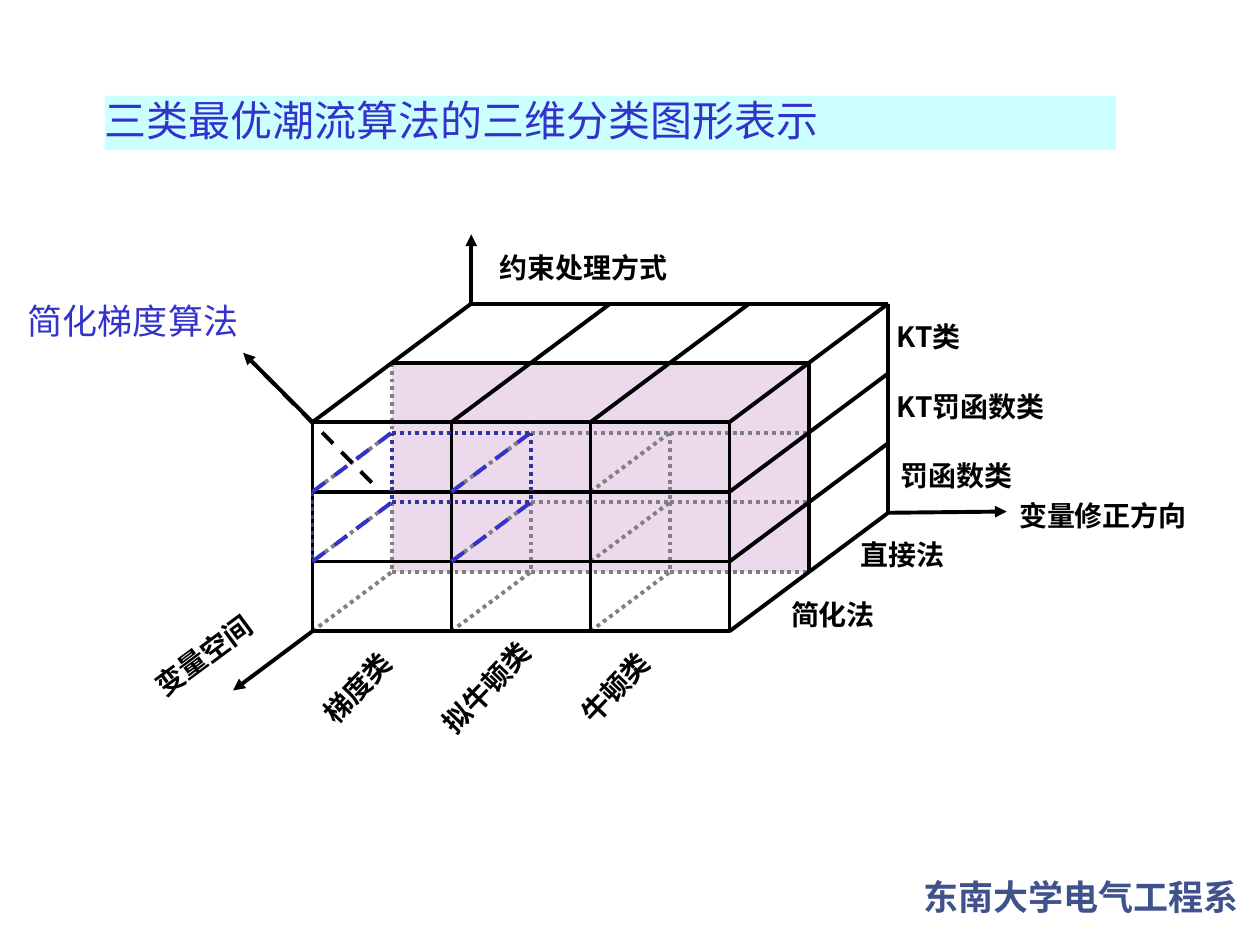
import itertools

import lxml.etree
import pptx
import pptx.dml.color
import pptx.enum.dml
import pptx.enum.shapes
import pptx.enum.text
import pptx.oxml.ns
import pptx.util

Inches, Pt = pptx.util.Inches, pptx.util.Pt
rgb = pptx.dml.color.RGBColor.from_string
qn = pptx.oxml.ns.qn
ALIGN = pptx.enum.text.PP_ALIGN
DASH = pptx.enum.dml.MSO_LINE.DASH
DOT = pptx.enum.dml.MSO_LINE.ROUND_DOT
RECT = pptx.enum.shapes.MSO_SHAPE.RECTANGLE
SANS = "Noto Sans CJK SC"
BLACK, GRAY, BLUE, NAVY = "000000", "808080", "3333CC", "333399"

prs = pptx.Presentation()
prs.slide_width, prs.slide_height = Inches(10), Inches(7.5)
s = prs.slides.add_slide(prs.slide_layouts[5])


def write(tf, text, size=16, color=BLACK, font=SANS, bold=True, before=4,
          align=ALIGN.LEFT, wrap=True):
    tf.word_wrap = wrap
    p = tf.paragraphs[0]
    p.alignment = align
    p.space_before = Pt(before)
    r = p.add_run()
    r.text = text
    r.font.size, r.font.bold, r.font.name = Pt(size), bold, font
    r.font.color.rgb = rgb(color)
    lxml.etree.SubElement(r.font._element, qn("a:ea"), typeface=SANS)


def add_line(start, end, color=BLACK, dash=None, arrow=False):
    c = s.shapes.add_connector(pptx.enum.shapes.MSO_CONNECTOR.STRAIGHT,
                               *[Inches(v) for v in (*start, *end)])
    c.line.color.rgb = rgb(color)
    c.line.width = Pt(2.25)
    if dash:
        c.line.dash_style = dash
    if arrow:
        lxml.etree.SubElement(c.line._get_or_add_ln(), qn("a:tailEnd"), type="triangle")
    lxml.etree.SubElement(c._element.spPr, qn("a:effectLst"))


# Lattice corners: column i, row j (downwards), depth k (backwards)
dx, dy = 3.31 / 3, 1.66 / 3
corner = {(i, j, k): (2.48 + i * dx + k * 0.63, 3.35 + j * dy - k * 0.47)
          for i, j, k in itertools.product(range(4), range(4), range(3))}

# Title band and the translucent panes of the middle plane
rects = [(0.83, 0.76, 8.03, 0.43, "CCFFFF", None)]
rects += [(*corner[i, j, 1], dx, dy, "800080", 15)
          for j, i in itertools.product(range(3), range(3))]
for x, y, w, h, color, alpha in rects:
    sp = s.shapes.add_shape(RECT, Inches(x), Inches(y), Inches(w), Inches(h))
    sp.shadow.inherit = False
    sp.fill.solid()
    sp.fill.fore_color.rgb = rgb(color)
    sp.line.fill.background()
    if alpha:
        clr = sp._element.spPr.find(".//" + qn("a:srgbClr"))
        lxml.etree.SubElement(clr, qn("a:alpha"), val=str(alpha * 1000))

# Title, moved to the front of its band
title = s.shapes.title
title.left, title.top = Inches(0.73), Inches(0.68)
title.width, title.height = Inches(8.52), Inches(0.52)
s.shapes._spTree.append(title._element)
tf = title.text_frame
tf.auto_size = pptx.enum.text.MSO_AUTO_SIZE.NONE
tf.vertical_anchor = pptx.enum.text.MSO_ANCHOR.BOTTOM
write(tf, "三类最优潮流算法的三维分类图形表示", size=24, color=BLUE, bold=False, before=0)

# Lattice edges: hidden ones dotted gray, visible ones solid black
hidden, visible = [], []
for (i, j, k), start in corner.items():
    across, down, back = (i + 1, j, k), (i, j + 1, k), (i, j, k + 1)
    if across in corner and (k < 2 or j == 0):
        (hidden if k == 1 and j > 0 else visible).append((start, corner[across]))
    if down in corner and (k == 0 or i == 3 or k == 1 and (i == 0 or j > 0)):
        (hidden if k == 1 and i < 3 else visible).append((start, corner[down]))
    if back in corner and (k == 0 or j == 0 or i == 3):
        (hidden if j > 0 and i < 3 else visible).append((start, corner[back]))
for start, end in hidden:
    add_line(start, end, GRAY, DOT)
for start, end in visible:
    add_line(start, end)

# Highlighted cell of the reduced gradient method
for i, j in itertools.product((0, 1), (1, 2)):
    add_line(corner[i, j, 0], corner[i, j, 1], BLUE, DASH)
for j in (1, 2):
    add_line(corner[0, j, 1], corner[1, j, 1], NAVY, DOT)
for i, k in ((0, 0), (0, 1), (1, 1)):
    add_line(corner[i, 1, k], corner[i, 2, k], NAVY, DOT)

# Axes, and the pointer that leaves the highlighted cell
add_line(corner[3, 3, 2], (7.99, 4.06), arrow=True)
add_line(corner[0, 0, 2], (3.74, 1.86), arrow=True)
add_line(corner[0, 3, 0], (1.85, 5.48), arrow=True)
add_line((2.95, 3.83), (1.93, 2.8), dash=DASH, arrow=True)
add_line((2.01, 2.88), corner[0, 0, 0])

# Labels: left, top, width, rotation, text, format
callout = dict(size=20, color=BLUE, font="Times New Roman", bold=False, before=5, wrap=False)
footer = dict(size=20, color="40528C", font="Lato", before=12.5, align=ALIGN.CENTER)
labels = [
    (3.82, 1.94, 1.97, 0, " 约束处理方式", {}),
    (6.97, 2.49, 1.1, 0, " KT类", {}),
    (6.97, 3.04, 1.73, 0, " KT罚函数类", {}),
    (7.05, 3.59, 1.73, 0, "罚函数类", {}),
    (6.73, 4.22, 0.94, 0, "直接法", {}),
    (6.18, 4.69, 0.94, 0, "简化法", {}),
    (7.99, 3.91, 1.73, 0, "变量修正方向", {}),
    (1.05, 4.94, 1.34, 323.4, "变量空间", {}),
    (2.33, 5.1, 1.34, 313.7, "梯度类", {}),
    (3.28, 5.18, 1.34, 313.7, "拟牛顿类", {}),
    (4.38, 5.1, 1.34, 313.7, "牛顿类", {}),
    (0.06, 2.33, 2.68, 0, " 简化梯度算法", callout),
    (7.16, 6.9, 2.84, 0, "东南大学电气工程系", footer),
]
for x, y, w, rotation, text, fmt in labels:
    h = 0.44 if fmt else 0.37
    sp = s.shapes.add_textbox(Inches(x), Inches(y), Inches(w), Inches(h))
    sp.rotation = rotation
    write(sp.text_frame, text, **fmt)

prs.save("out.pptx")
